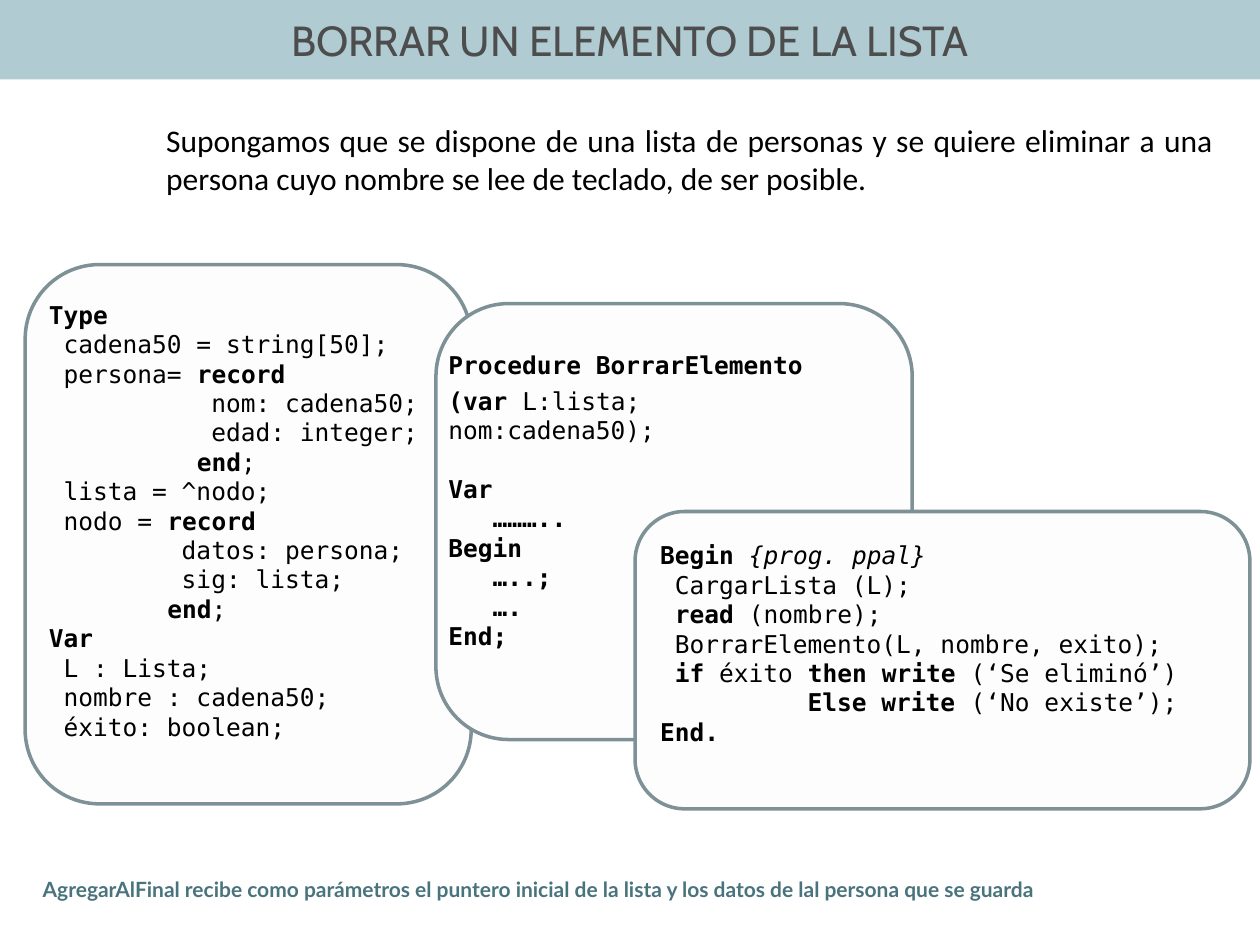
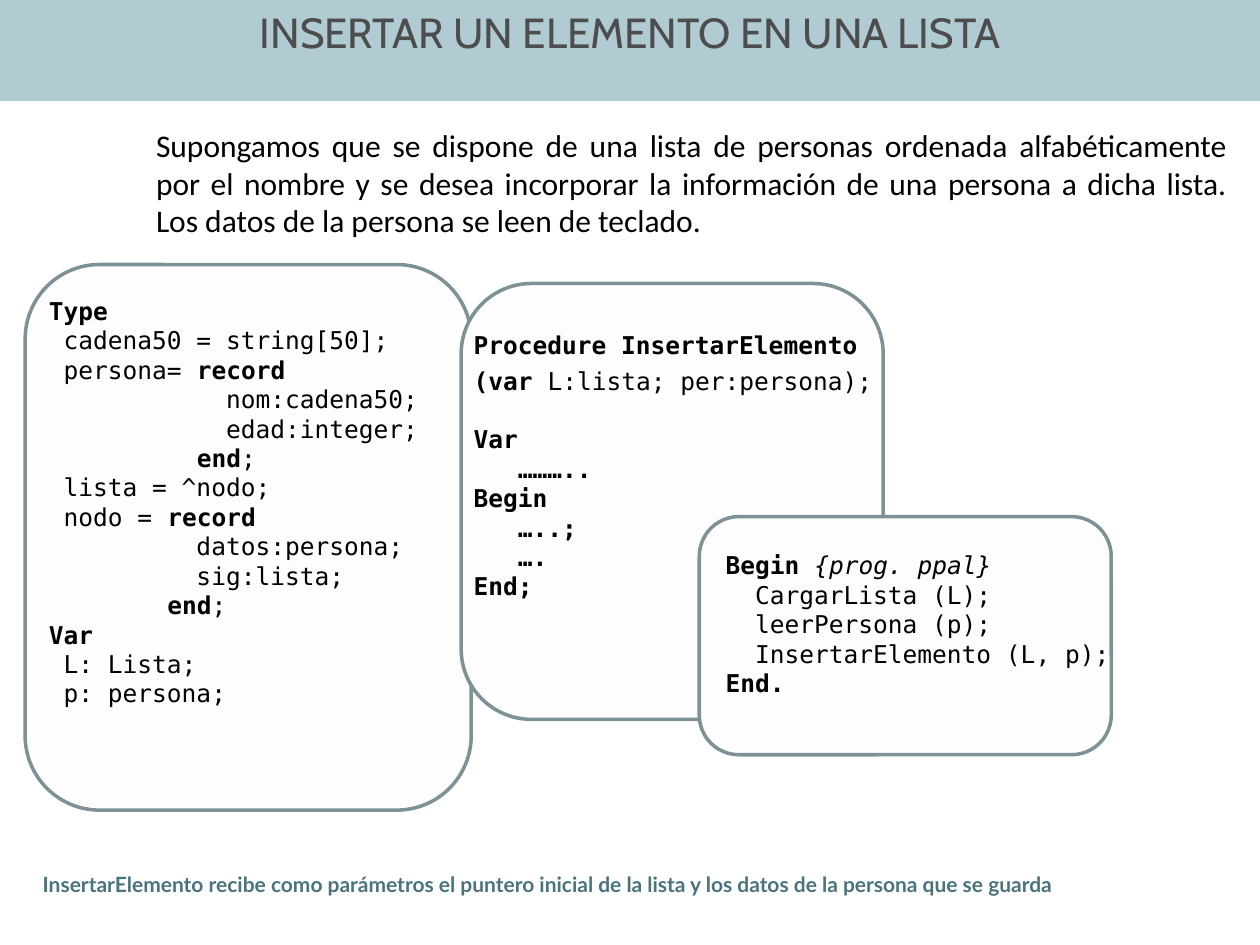
from pptx import Presentation
from pptx.dml.color import RGBColor
from pptx.enum.shapes import MSO_SHAPE
from pptx.enum.text import MSO_ANCHOR, MSO_AUTO_SIZE, PP_ALIGN
from pptx.util import Inches, Pt

COLORS = {
    "band": "B0CBD1",
    "title": "4D4D4D",
    "panel": "FDFDFD",
    "outline": "7E9196",
    "text": "000000",
    "note": "49747D",
}
TITLE_FONT = {"name": "Cabin", "size": Pt(24), "bold": False}
CODE_FONT = {"name": "DejaVu Sans Mono", "size": Pt(14)}
INTRO_FONT = {"name": "Calibri", "size": Pt(18)}
NOTE_FONT = {"name": "Lato", "size": Pt(12), "bold": True}
FRAME_FORMAT = {
    "word_wrap": True,
    "auto_size": MSO_AUTO_SIZE.NONE,
    "margin_left": Inches(0.1),
    "margin_right": Inches(0.1),
    "margin_top": Inches(0.05),
    "margin_bottom": Inches(0.05),
}
TITLE_ONLY = 5


def set_values(target, values):
    for name, value in values.items():
        setattr(target, name, value)


def rgb(color):
    return RGBColor.from_string(COLORS[color])


def inches(place):
    return [Inches(length) for length in place]


def style_font(font, values, color):
    set_values(font, values)
    font.color.rgb = rgb(color)


def add_title(page, text, height, anchor):
    title = page.shapes.title
    sides = ("left", "top", "width", "height")
    set_values(title, dict(zip(sides, inches((0, 0, 10, height)))))
    title.fill.solid()
    title.fill.fore_color.rgb = rgb("band")
    set_values(title.text_frame, FRAME_FORMAT | {"vertical_anchor": anchor})
    para = title.text_frame.paragraphs[0]
    para.text = text
    para.alignment = PP_ALIGN.CENTER
    style_font(para.runs[0].font, TITLE_FONT, "title")


def add_text(page, place, text, font, color, line_spacing=1.0):
    box = page.shapes.add_textbox(*inches(place))
    set_values(box.text_frame, FRAME_FORMAT)
    para = box.text_frame.paragraphs[0]
    para.alignment = PP_ALIGN.JUSTIFY
    para.line_spacing = line_spacing
    span = para.add_run()
    span.text = text
    style_font(span.font, font, color)


def add_note(page, top, text):
    add_text(page, (0.24, top, 9.61, 0.37), text, NOTE_FONT, "note", 1.35)


def add_code_line(para, line):
    for bold_index, part in enumerate(line.split("*")):
        for italic_index, piece in enumerate(part.split("~")):
            if piece:
                span = para.add_run()
                span.text = piece
                style_font(span.font, CODE_FONT, "text")
                span.font.bold = bold_index % 2 == 1
                span.font.italic = italic_index % 2 == 1


def add_code_panel(page, panel_place, text_place, lines, gaps=None):
    group = page.shapes.add_group_shape()
    panel = group.shapes.add_shape(
        MSO_SHAPE.ROUNDED_RECTANGLE, *inches(panel_place))
    panel.shadow.inherit = False
    panel.fill.solid()
    panel.fill.fore_color.rgb = rgb("panel")
    panel.line.color.rgb = rgb("outline")
    panel.line.width = Pt(2)

    box = group.shapes.add_textbox(*inches(text_place))
    frame = box.text_frame
    set_values(frame, FRAME_FORMAT)
    for index, line in enumerate(lines):
        para = frame.add_paragraph() if index else frame.paragraphs[0]
        if gaps and index in gaps:
            para.space_before = Pt(gaps[index])
        add_code_line(para, line)


def type_code(person_fields, node_fields, variables):
    return [
        "*Type*",
        " cadena50 = string[50];",
        " persona= *record*",
        *person_fields,
        "          *end*;",
        " lista = ^nodo;",
        " nodo = *record*",
        *node_fields,
        "        *end*;",
        "*Var*",
        *variables,
    ]


def add_procedure_panel(page, panel_place, text_place, name, parameters):
    lines = [
        f"*Procedure {name}*",
        f"*(var *{parameters});",
        "*Var*",
        "*   ………..*",
        "*Begin*",
        "*   …..;*",
        "*   ….*",
        "*End;*",
    ]
    add_code_panel(page, panel_place, text_place, lines, {1: 3.5, 2: 16.8})


def build_delete_page(deck):
    page = deck.slides.add_slide(deck.slide_layouts[TITLE_ONLY])
    add_title(page, "BORRAR UN ELEMENTO DE LA LISTA", 0.63, MSO_ANCHOR.MIDDLE)
    add_text(
        page, (1.22, 0.91, 8.51, 0.7),
        "Supongamos que se dispone de una lista de personas y se quiere "
        "eliminar a una persona cuyo nombre se lee de teclado, de ser posible.",
        INTRO_FONT, "text")
    add_code_panel(
        page, (0.2, 2.1, 3.54, 4.28), (0.29, 2.33, 3.8, 3.6),
        type_code(
            ["           nom: cadena50;", "           edad: integer;"],
            ["         datos: persona;", "         sig: lista;"],
            [" L : Lista;", " nombre : cadena50;", " éxito: boolean;"]))
    add_procedure_panel(
        page, (3.46, 2.41, 3.78, 3.46), (3.46, 2.73, 3.42, 2.49),
        "BorrarElemento", "L:lista; nom:cadena50")
    add_code_panel(
        page, (5.04, 4.06, 4.88, 2.36), (5.14, 4.24, 4.62, 1.74),
        [
            "*Begin *~{prog. ppal}~",
            " CargarLista (L);",
            "* read *(nombre);",
            " BorrarElemento(L, nombre, exito);",
            "* if *éxito* then write *(‘Se eliminó’)",
            "*          Else write *(‘No existe’);",
            "*End.*",
        ])
    add_note(
        page, 6.84,
        "AgregarAlFinal recibe como parámetros el puntero inicial de la lista "
        "y los datos de lal persona que se guarda")


def build_insert_page(deck):
    page = deck.slides.add_slide(deck.slide_layouts[TITLE_ONLY])
    add_title(page, "INSERTAR UN ELEMENTO EN UNA LISTA", 0.8, MSO_ANCHOR.TOP)
    add_text(
        page, (1.14, 0.95, 8.7, 1),
        "Supongamos que se dispone de una lista de personas ordenada "
        "alfabéticamente por el nombre y se desea incorporar la información "
        "de una persona a dicha lista. Los datos de la persona se leen de "
        "teclado.",
        INTRO_FONT, "text")
    add_code_panel(
        page, (0.2, 2.1, 3.54, 4.33), (0.29, 2.3, 3.8, 3.6),
        type_code(
            ["            nom:cadena50;", "            edad:integer;"],
            ["          datos:persona;", "          sig:lista;"],
            [" L: Lista;", " p: persona;"]))
    add_procedure_panel(
        page, (3.66, 2.25, 3.35, 3.46), (3.66, 2.57, 3.71, 2.25),
        "InsertarElemento", "L:lista; per:persona")
    add_code_panel(
        page, (5.55, 4.1, 3.27, 1.89), (5.66, 4.32, 3.99, 1.5),
        [
            "*Begin *~{prog. ppal}~",
            "  CargarLista (L);",
            "  leerPersona (p);",
            "  InsertarElemento (L, p);",
            "*End.*",
        ])
    add_note(
        page, 6.8,
        "InsertarElemento recibe como parámetros el puntero inicial de la "
        "lista y los datos de la persona que se guarda")


def main():
    deck = Presentation()
    deck.slide_width = Inches(10)
    deck.slide_height = Inches(7.5)
    build_delete_page(deck)
    build_insert_page(deck)
    deck.save("out.pptx")


if __name__ == "__main__":
    main()
